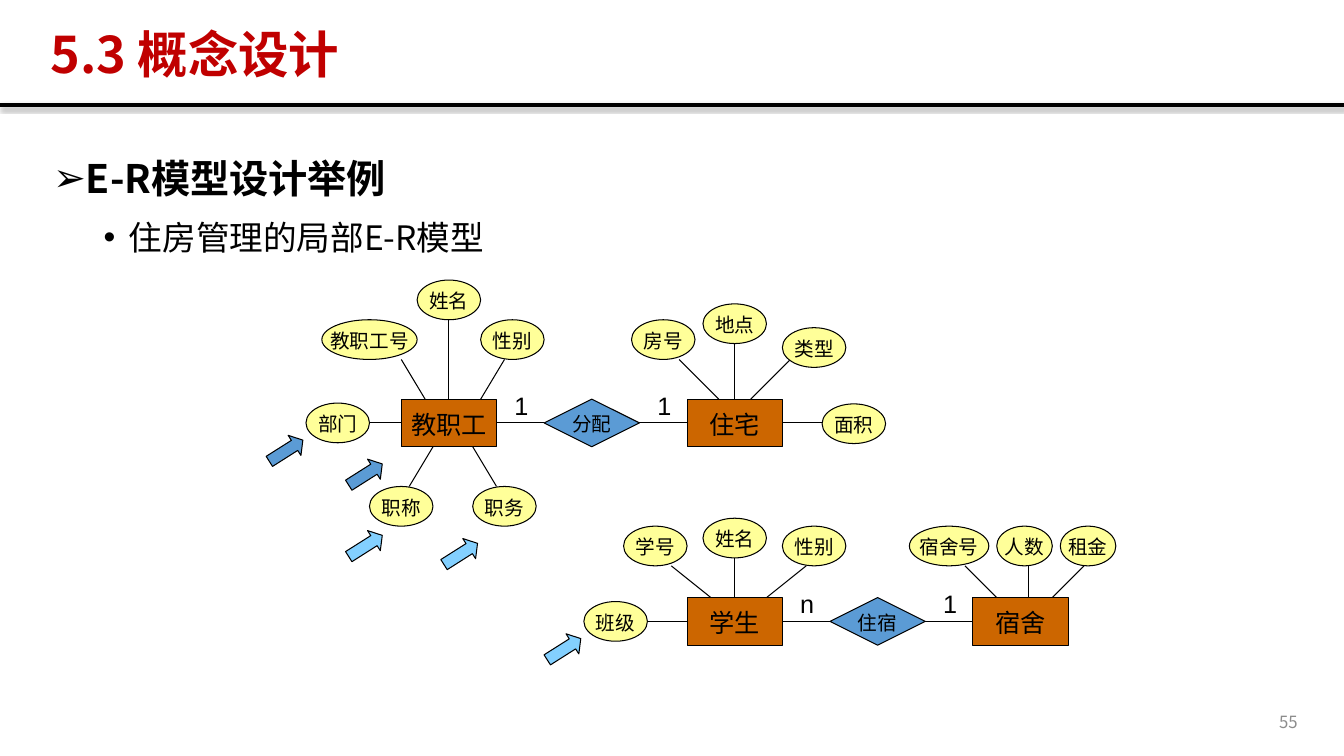
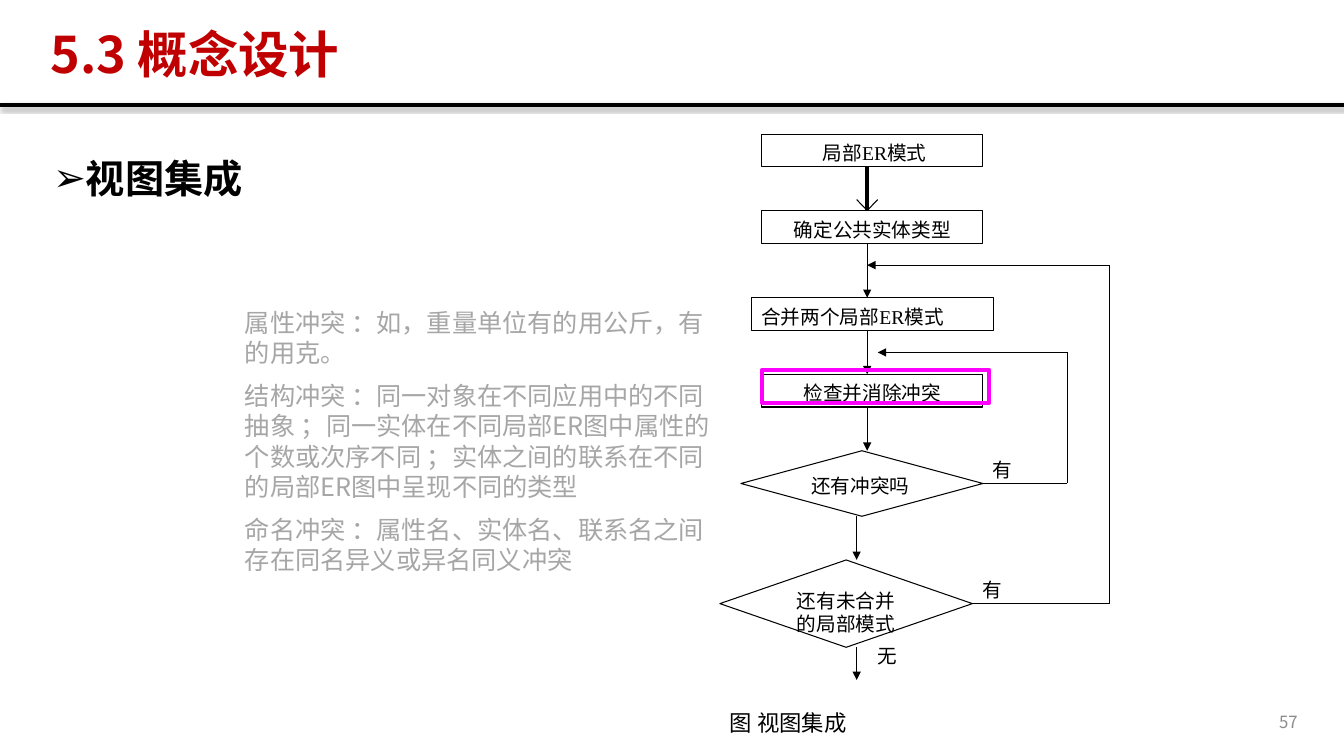
import pptx
import pptx.util
import pptx.dml.color
import pptx.enum.shapes
import pptx.enum.text
import pptx.oxml
import pptx.oxml.ns
import lxml.etree

RGB = pptx.dml.color.RGBColor
INK = RGB(0x00, 0x00, 0x00)
WHITE = RGB(0xFF, 0xFF, 0xFF)
RED = RGB(0xC0, 0x00, 0x00)
ORANGE = RGB(0xCC, 0x66, 0x00)
BLUE = RGB(0x5B, 0x9B, 0xD5)
SKY = RGB(0x83, 0xD0, 0xFF)
YELLOW = RGB(0xFF, 0xFF, 0x99)
PINK = RGB(0xFF, 0x00, 0xFF)
GREY = RGB(0xA6, 0xA6, 0xA6)
DIM = RGB(0x8C, 0x8C, 0x8C)

SANS, ARIAL, TIMES = "Noto Sans CJK SC", "Arial", "Times New Roman"
KIND = pptx.enum.shapes.MSO_SHAPE
ALIGN = pptx.enum.text.PP_ALIGN
ANCHOR = pptx.enum.text.MSO_ANCHOR
LEFT, MID, RIGHT = ALIGN.LEFT, ALIGN.CENTER, ALIGN.RIGHT
Inch, Pt = pptx.util.Inches, pptx.util.Pt
qn = pptx.oxml.ns.qn

# Grids: left, top, column width, row height in inches
PAGE = (0, 0, 1, 1)
MODEL = (3.98, 3.96, 0.63 / 8, 0.63 / 8)
FLOW = (7.14, 1.33, 2.4 / 23, 0.65 / 6)


def put(slide, grid, kind, box, text="", size=14, face=SANS, ink=INK, fill=None,
        edge=INK, width=0.75, align=LEFT, anchor=ANCHOR.TOP, wrap=True,
        bold=False, gap=0, lead=1.2):
    """Place a shape, a text box (kind None) or the title (kind "title") on a grid."""
    left, top, dx, dy = grid
    col, row, wide, high = box
    spot = [Inch(n) for n in (left + col * dx, top + row * dy, wide * dx, high * dy)]
    if kind == "title":
        item = slide.shapes.title
        item.left, item.top, item.width, item.height = spot
    elif kind is None:
        item = slide.shapes.add_textbox(*spot)
    else:
        item = slide.shapes.add_shape(kind, *spot)
        item.shadow.inherit = False
        item.line.color.rgb = edge
        item.line.width = Pt(width)
        if fill is None:
            item.fill.background()
        else:
            item.fill.solid()
            item.fill.fore_color.rgb = fill
    if not text:
        return item
    frame = item.text_frame
    frame.text = text
    frame.word_wrap = wrap
    frame.auto_size = pptx.enum.text.MSO_AUTO_SIZE.NONE
    frame.vertical_anchor = anchor
    frame.margin_top = Inch(0.07)
    for index, para in enumerate(frame.paragraphs):
        para.alignment = align
        para.line_spacing = Pt(round(lead * size, 1))
        para.space_before = Pt(gap if index else 0)
        for run in para.runs:
            run.font.size = Pt(size)
            run.font.bold = bold
            run.font.color.rgb = ink
            run.font.name = face
            lxml.etree.SubElement(run.font._element, qn("a:ea"), typeface=SANS)
    return item


def join(slide, grid, ends, width=0.75, tip=False):
    """Draw a straight line between two grid points, with an arrowhead if tip."""
    left, top, dx, dy = grid
    ax, ay, bx, by = ends
    item = slide.shapes.add_connector(
        pptx.enum.shapes.MSO_CONNECTOR.STRAIGHT,
        Inch(left + ax * dx), Inch(top + ay * dy),
        Inch(left + bx * dx), Inch(top + by * dy))
    item.line.color.rgb = INK
    item.line.width = Pt(width)
    if tip:
        lxml.etree.SubElement(item.line._get_or_add_ln(), qn("a:tailEnd"), type="triangle")
    lxml.etree.SubElement(item._element.spPr, qn("a:effectLst"))
    return item


deck = pptx.Presentation()
deck.slide_width, deck.slide_height = Inch(13.33), Inch(7.5)

# Shared title, rule, heading and page number
heads = [
    ("55", [("E-R模型设计举例", 28), ("住房管理的局部E-R模型", 24)]),
    ("57", [("视图集成", 28)]),
]
slides = []
for number, points in heads:
    slide = deck.slides.add_slide(deck.slide_layouts[5])
    slides.append(slide)
    put(slide, PAGE, "title", (0.4, 0.19, 11.7, 0.65), "5.3 概念设计", 36,
        ink=RED, bold=True, anchor=ANCHOR.MIDDLE)
    rule = join(slide, PAGE, (0, 1.04, 13.33, 1.04), 3)
    rule._element.spPr.find(qn("a:effectLst")).append(pptx.oxml.parse_xml(
        '<a:outerShdw xmlns:a="http://schemas.openxmlformats.org/drawingml/2006/main" '
        'blurRad="39370" dist="22860" dir="5400000" rotWithShape="0">'
        '<a:srgbClr val="000000"><a:alpha val="35000"/></a:srgbClr></a:outerShdw>'))
    body = put(slide, PAGE, None, (0.43, 1.37, 12.53, 5.38),
               "\n".join(text for text, size in points), 28, bold=True, gap=5, lead=1.44)
    for level, para in enumerate(body.text_frame.paragraphs):
        size = points[level][1]
        para.line_spacing = Pt(round(1.44 * size, 1))
        para.runs[0].font.size = Pt(size)
        para.runs[0].font.bold = level == 0
        props = para._p.get_or_add_pPr()
        props.set("marL", str(Inch(0.25 + level * 0.5)))
        props.set("indent", str(Inch(-0.25)))
        lxml.etree.SubElement(props, qn("a:buFont"), typeface=ARIAL)
        lxml.etree.SubElement(props, qn("a:buChar"), char="➢•"[level])
    put(slide, PAGE, None, (9.97, 6.95, 3, 0.4), number, 12, ink=DIM,
        align=RIGHT, anchor=ANCHOR.MIDDLE)

# Housing E-R model
model, flow = slides
for ends in [
    (0, -5, 3, 0), (6, -10, 6, 0), (13, -5, 10, 0), (0, 3, -4, 3),
    (4, 6, 1, 11), (9, 6, 12, 11), (12, 3, 18, 3), (30, 3, 36, 3),
    (35, -5, 40, 0), (42, -7, 42, 0), (49, -5, 44, 0), (48, 3, 53, 3),
    (39, 25, 34, 21), (42, 20, 42, 25), (51, 21, 46, 25), (31, 28, 36, 28),
    (48, 28, 54, 28), (66, 28, 72, 28),
    (71, 21, 75, 25), (79, 21, 79, 25), (86, 21, 82, 25),
]:
    join(model, MODEL, ends)

groups = [
    (KIND.RECTANGLE, ORANGE, 18, 6, [
        ("教职工", 0, 0, 12), ("住宅", 36, 0, 12),
        ("学生", 36, 25, 12), ("宿舍", 72, 25, 12)]),
    (KIND.DIAMOND, BLUE, 14, 6, [("分配", 18, 0, 12), ("住宿", 54, 25, 12)]),
    (KIND.OVAL, YELLOW, 14, 5, [
        ("教职工号", -10, -10, 12), ("姓名", 2, -15, 8), ("性别", 10, -10, 8),
        ("部门", -12, 0.5, 8), ("职称", -4, 11, 8), ("职务", 9, 11, 8),
        ("房号", 29, -10, 8), ("地点", 38, -12, 8), ("类型", 48, -9, 8),
        ("面积", 53, 0.6, 8),
        ("学号", 28, 16, 8), ("姓名", 38, 15, 8), ("性别", 48, 16, 8),
        ("班级", 23, 25.5, 8),
        ("宿舍号", 64, 16, 10), ("人数", 75, 16, 7), ("租金", 83, 16, 7)]),
]
for kind, fill, size, high, nodes in groups:
    for text, col, row, wide in nodes:
        put(model, MODEL, kind, (col, row, wide, high), text, size, ARIAL,
            fill=fill, align=MID, anchor=ANCHOR.MIDDLE, wrap=False)

for text, col, row in [("1", 13, -2), ("1", 31, -2), ("n", 49, 23), ("1", 67, 23)]:
    put(model, MODEL, None, (col, row, 4, 5), text, 18, ARIAL)

for col, row, fill in [(-17, 5, BLUE), (-7, 8, BLUE), (-7, 17, SKY),
                       (5, 18, SKY), (18, 30, SKY)]:
    arrow = put(model, MODEL, KIND.RIGHT_ARROW, (col, row, 5, 3), fill=fill)
    arrow.adjustments[0], arrow.adjustments[1] = 0.5, 0.415
    arrow.rotation = 327.6

# View integration flow
for kind, text, box, align in [
    (KIND.RECTANGLE, " 局部ER模式", (4, 0, 21, 3), MID),
    (KIND.RECTANGLE, "确定公共实体类型", (4, 7, 21, 3), MID),
    (KIND.RECTANGLE, "合并两个局部ER模式", (3, 15, 23, 3), LEFT),
    (KIND.RECTANGLE, "检查并消除冲突", (4, 22, 21, 3), MID),
    (KIND.FLOWCHART_DECISION, "还有冲突吗", (2, 29, 23, 6), LEFT),
    (KIND.FLOWCHART_DECISION, "还有未合并的局部模式", (0, 39, 24, 8), MID),
    (None, "有", (25, 29, 5, 3), LEFT),
    (None, "有", (24, 40, 5, 3), LEFT),
    (None, "无", (14, 46, 5, 3), LEFT),
]:
    put(flow, FLOW, kind, box, text, 14, TIMES, fill=WHITE, align=align)

for ends in [(14, 7, 15, 6), (14, 7, 13, 6), (25, 32, 33, 32), (33, 32, 33, 20),
             (24, 43, 37, 43), (37, 43, 37, 12)]:
    join(flow, FLOW, ends)
for ends in [(14, 10, 14, 15), (14, 18, 14, 22), (14, 25, 14, 29), (13, 35, 13, 39),
             (13, 47, 13, 50), (33, 20, 15, 20), (37, 12, 14, 12)]:
    join(flow, FLOW, ends, tip=True)
join(flow, FLOW, (14, 3, 14, 7), 3)

put(flow, FLOW, KIND.RECTANGLE, (4, 21.6, 21.6, 3), edge=PINK, width=3)
put(flow, PAGE, None, (7.14, 6.97, 3.03, 0.33), "图 视图集成", 16)
put(flow, PAGE, None, (2.33, 2.98, 4.97, 2.83), "\n".join([
    "属性冲突 ：如，重量单位有的用公斤，有的用克。",
    "结构冲突 ：同一对象在不同应用中的不同抽象 ；同一实体在不同局部ER图中属性的"
    "个数或次序不同 ；实体之间的联系在不同的局部ER图中呈现不同的类型",
    "命名冲突 ：属性名、实体名、联系名之间存在同名异义或异名同义冲突",
]), 18, ink=GREY, gap=9)

deck.save("out.pptx")
